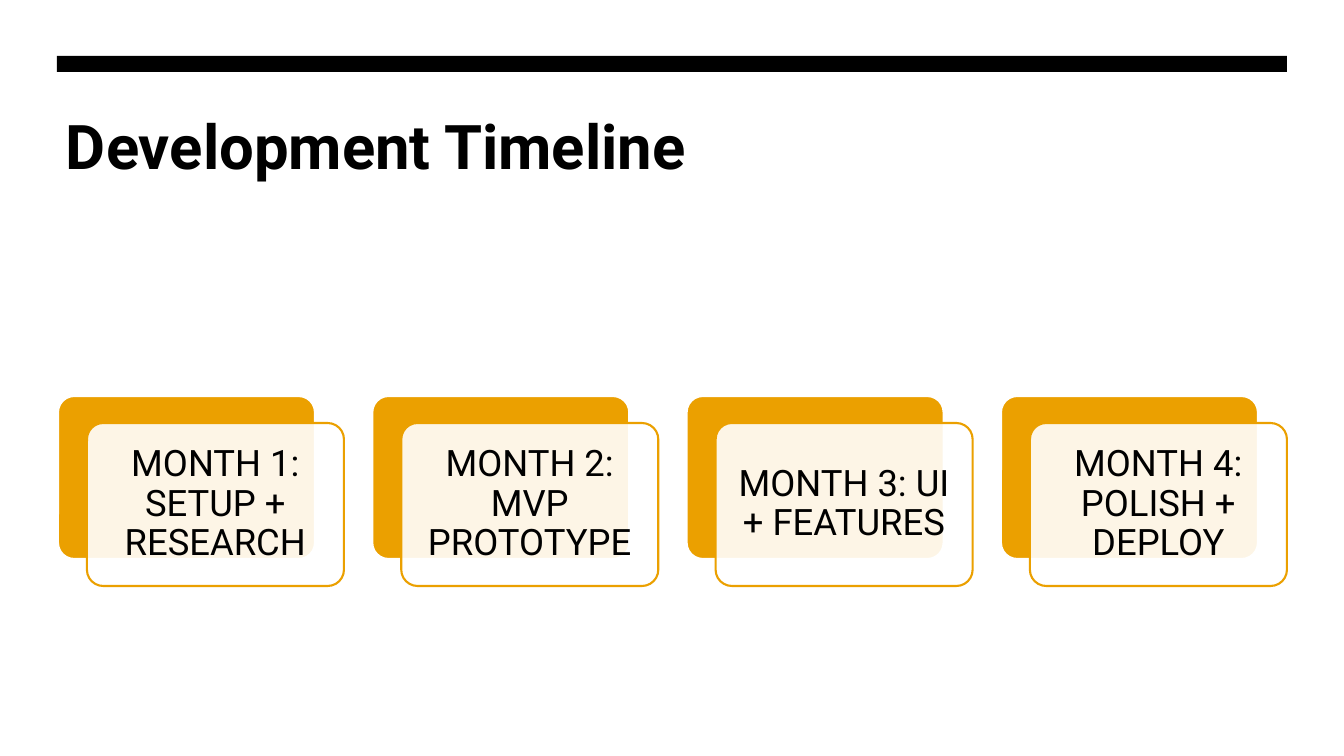
from lxml import etree
from pptx import Presentation
from pptx.dml.color import RGBColor
from pptx.enum.shapes import MSO_SHAPE as Shape
from pptx.enum.text import MSO_ANCHOR as Anchor, PP_ALIGN as Align
from pptx.oxml.ns import qn
from pptx.util import Pt

PX = 914400 / 100.8
BLACK = RGBColor(0, 0, 0)
WHITE = RGBColor(255, 255, 255)
AMBER = RGBColor(0xEB, 0xA0, 0x00)


def write(shape, text, size, bold=False, align=Align.LEFT, anchor=Anchor.TOP,
          inset=(9, 5), spacing=0.9, after=0):
    frame = shape.text_frame
    frame.word_wrap = True
    frame.vertical_anchor = anchor
    frame.margin_left = frame.margin_right = round(inset[0] * PX)
    frame.margin_top = frame.margin_bottom = round(inset[1] * PX)
    paragraph = frame.paragraphs[0]
    paragraph.alignment = align
    paragraph.line_spacing = spacing
    paragraph.space_after = Pt(after)
    run = paragraph.add_run()
    run.text = text
    run.font.name = "Roboto"
    run.font.size = Pt(size)
    run.font.bold = bold
    run.font.color.rgb = BLACK


def add_block(kind, left, top, width, height, fill, line=None):
    shape = slide.shapes.add_shape(kind, *(round(n * PX) for n in (left, top, width, height)))
    shape.shadow.inherit = False
    shape.fill.solid()
    shape.fill.fore_color.rgb = fill
    if line is None:
        shape.line.fill.background()
    else:
        shape.line.color.rgb = line
        shape.line.width = Pt(1.5)
    return shape


presentation = Presentation()
presentation.slide_width = round(1344 * PX)
presentation.slide_height = round(756 * PX)
slide = presentation.slides.add_slide(presentation.slide_layouts[5])

# Title and the bar above it
title = slide.shapes.title
title.left, title.top, title.width, title.height = (round(n * PX) for n in (57, 108, 1230, 161))
write(title, "Development Timeline", 44, bold=True, spacing=0.95)
add_block(Shape.RECTANGLE, 57, 56, 1230, 16, BLACK)

# Month cards: an amber back and a translucent white front, evenly spread
MONTHS = [
    "MONTH 1: SETUP + RESEARCH",
    "MONTH 2: MVP PROTOTYPE",
    "MONTH 3: UI + FEATURES",
    "MONTH 4: POLISH + DEPLOY",
]
LEFT, RIGHT, TOP = 58, 1287, 396
CARD_WIDTH, CARD_HEIGHT = 257, 163
SHIFT_X, SHIFT_Y = 29, 27
pitch = (RIGHT - LEFT - CARD_WIDTH - SHIFT_X) / (len(MONTHS) - 1)

for index, month in enumerate(MONTHS):
    left = LEFT + index * pitch
    back = add_block(Shape.ROUNDED_RECTANGLE, left, TOP, CARD_WIDTH, CARD_HEIGHT, AMBER, WHITE)
    front = add_block(Shape.ROUNDED_RECTANGLE, left + SHIFT_X, TOP + SHIFT_Y,
                      CARD_WIDTH, CARD_HEIGHT, WHITE, AMBER)
    for card in (back, front):
        card.adjustments[0] = 0.1
    # Front fill at 90 % opacity
    color = front.fill._xPr.find(qn("a:solidFill"))[0]
    etree.SubElement(color, qn("a:alpha")).set("val", "90000")
    write(front, month, 26, align=Align.CENTER, anchor=Anchor.MIDDLE, inset=(15, 15), after=9)

presentation.save("out.pptx")
